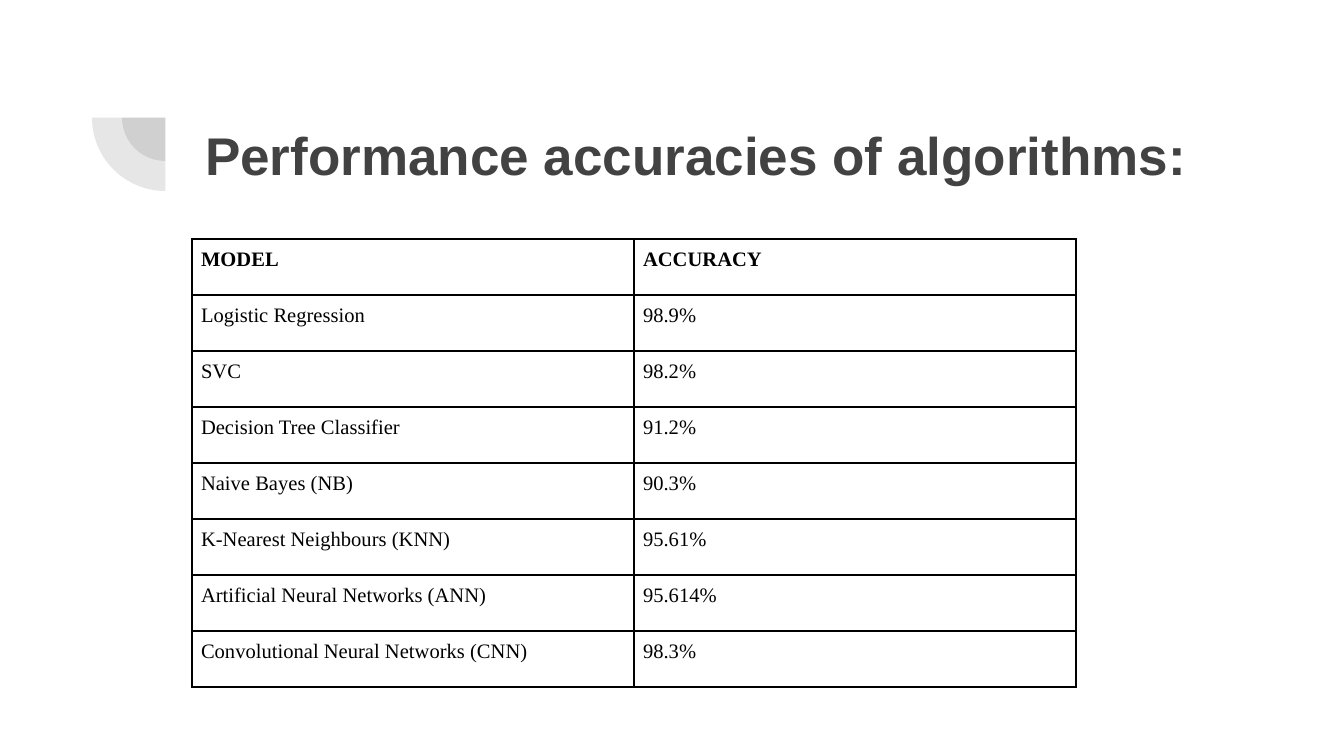
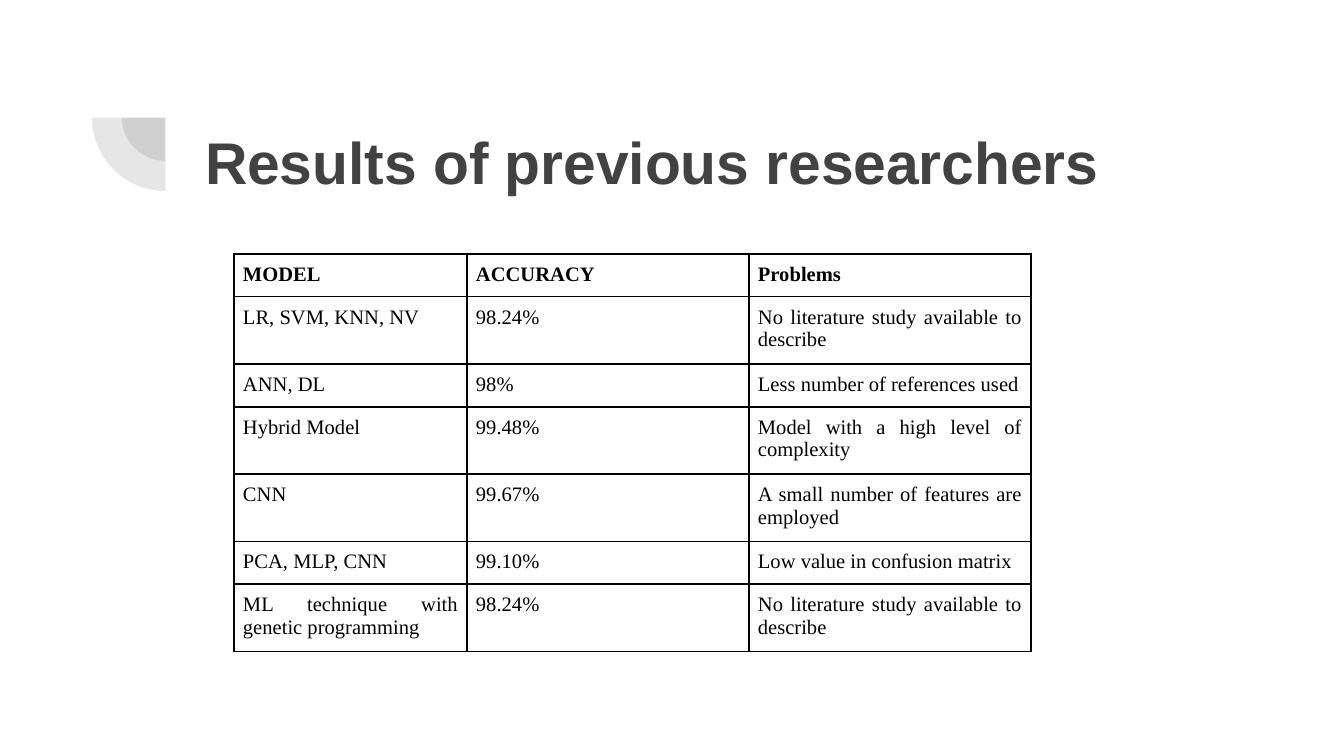
from lxml import etree
from pptx import Presentation
from pptx.dml.color import RGBColor
from pptx.enum.shapes import MSO_SHAPE
from pptx.enum.text import MSO_ANCHOR, PP_ALIGN
from pptx.oxml.ns import qn
from pptx.util import Emu, Pt

PIE = MSO_SHAPE.CHORD if not hasattr(MSO_SHAPE, "PIE") else MSO_SHAPE.PIE
TOP = MSO_ANCHOR.TOP
LEFT, JUSTIFY = PP_ALIGN.LEFT, PP_ALIGN.JUSTIFY

PX_PER_INCH = 134.4
SLIDE_WIDTH, SLIDE_HEIGHT = 1344, 756
DARK, BLACK, WHITE = "424242", "000000", "FFFFFF"
TITLE_FONT, TABLE_FONT = "Arial", "Times New Roman"
BORDER_SIDES = ("a:lnL", "a:lnR", "a:lnT", "a:lnB")

ORNAMENT_BOX = (92, 44, 147)
RING_INSET = 30
TITLE_LEFT, TITLE_WIDTH, TITLE_HEIGHT = 192, 1034, 146
TITLE_MARGINS = (13, 18, 13, 13)
CELL_MARGIN = 9

ALGORITHM_ROWS = [
    ("MODEL", "ACCURACY"),
    ("Logistic Regression", "98.9%"),
    ("SVC", "98.2%"),
    ("Decision Tree Classifier", "91.2%"),
    ("Naive Bayes (NB)", "90.3%"),
    ("K-Nearest Neighbours (KNN)", "95.61%"),
    ("Artificial Neural Networks (ANN)", "95.614%"),
    ("Convolutional Neural Networks (CNN)", "98.3%"),
]
RESEARCH_ROWS = [
    ("MODEL", "ACCURACY", "Problems"),
    ("LR, SVM, KNN, NV", "98.24%", "No literature study available to describe"),
    ("ANN, DL", "98%", "Less number of references used"),
    ("Hybrid Model", "99.48%", "Model with a high level of complexity"),
    ("CNN", "99.67%", "A small number of features are employed"),
    ("PCA, MLP, CNN", "99.10%", "Low value in confusion matrix"),
    ("ML technique with genetic programming", "98.24%",
     "No literature study available to describe"),
]
ONE_LINE, TWO_LINES = 42, 64
RESEARCH_HEIGHTS = [ONE_LINE, TWO_LINES, ONE_LINE, TWO_LINES, TWO_LINES, ONE_LINE, TWO_LINES]


def px(length):
    """Turn pixels into EMU."""
    return Emu(round(length * 914400 / PX_PER_INCH))


def color(value):
    """Turn a hex string into a colour."""
    return RGBColor.from_string(value)


def write(frame, text, font, size, fill, bold=False, align=LEFT):
    """Write one formatted paragraph into a text frame."""
    frame.word_wrap = True
    paragraph = frame.paragraphs[0]
    paragraph.alignment = align
    run = paragraph.add_run()
    run.text = text
    run.font.name = font
    run.font.size = Pt(size)
    run.font.bold = bold
    run.font.color.rgb = color(fill)


def set_margins(target, left, top, right, bottom):
    """Set the inner margins of a text frame or a cell."""
    target.margin_left, target.margin_top = px(left), px(top)
    target.margin_right, target.margin_bottom = px(right), px(bottom)


def add_ornament(slide, left, top, size):
    """Add two concentric translucent quarter discs."""
    group = slide.shapes.add_group_shape()
    for inset in (RING_INSET, 0):
        diameter = px(size - 2 * inset)
        shape = group.shapes.add_shape(PIE, px(left + inset), px(top + inset), diameter, diameter)
        shape.rotation = 270
        shape.adjustments[0] = 108
        shape.adjustments[1] = 162
        shape.shadow.inherit = False
        shape.line.fill.background()
        shape.fill.solid()
        shape.fill.fore_color.rgb = color(DARK)
        shade = next(shape.element.spPr.iter(qn("a:srgbClr")))
        etree.SubElement(shade, qn("a:alpha"), val="13000")


def add_title(slide, top, text, size):
    """Add the bold slide title."""
    box = slide.shapes.add_textbox(px(TITLE_LEFT), px(top), px(TITLE_WIDTH), px(TITLE_HEIGHT))
    box.text_frame.vertical_anchor = TOP
    set_margins(box.text_frame, *TITLE_MARGINS)
    write(box.text_frame, text, font=TITLE_FONT, size=size, fill=DARK, bold=True)


def add_borders(cell):
    """Draw a thin black line on each side of a cell."""
    properties = cell._tc.get_or_add_tcPr()
    for side in BORDER_SIDES:
        line = etree.SubElement(properties, qn(side), w=str(Pt(1)))
        solid = etree.SubElement(line, qn("a:solidFill"))
        etree.SubElement(solid, qn("a:srgbClr"), val=BLACK)


def add_grid(slide, left, top, widths, heights, rows):
    """Add a ruled table whose first row is bold."""
    frame = slide.shapes.add_table(len(rows), len(widths), px(left), px(top),
                                   px(sum(widths)), px(sum(heights)))
    table = frame.table
    table.first_row = table.horz_banding = False
    for column, width in zip(table.columns, widths):
        column.width = px(width)
    for row_index, (row, height, texts) in enumerate(zip(table.rows, heights, rows)):
        row.height = px(height)
        for cell, text in zip(row.cells, texts):
            set_margins(cell, *[CELL_MARGIN] * 4)
            cell.vertical_anchor = TOP
            add_borders(cell)
            cell.fill.background()
            write(cell.text_frame, text, font=TABLE_FONT, size=11, fill=BLACK,
                  bold=row_index == 0, align=JUSTIFY)


def add_base_slide(presentation, title, title_top, title_size):
    """Add a white slide with the ornament and a title."""
    slide = presentation.slides.add_slide(presentation.slide_layouts[6])
    slide.background.fill.solid()
    slide.background.fill.fore_color.rgb = color(WHITE)
    add_ornament(slide, *ORNAMENT_BOX)
    add_title(slide, title_top, title, title_size)
    return slide


def main():
    """Build both slides and save them."""
    presentation = Presentation()
    presentation.slide_width, presentation.slide_height = px(SLIDE_WIDTH), px(SLIDE_HEIGHT)
    slide = add_base_slide(presentation, "Performance accuracies of algorithms:", 105, 28.4)
    add_grid(slide, 192, 239, [442] * 2, [56] * len(ALGORITHM_ROWS), ALGORITHM_ROWS)
    slide = add_base_slide(presentation, "Results of previous researchers", 108, 31.5)
    add_grid(slide, 234, 254, [233, 282, 282], RESEARCH_HEIGHTS, RESEARCH_ROWS)
    presentation.save("out.pptx")


if __name__ == "__main__":
    main()
